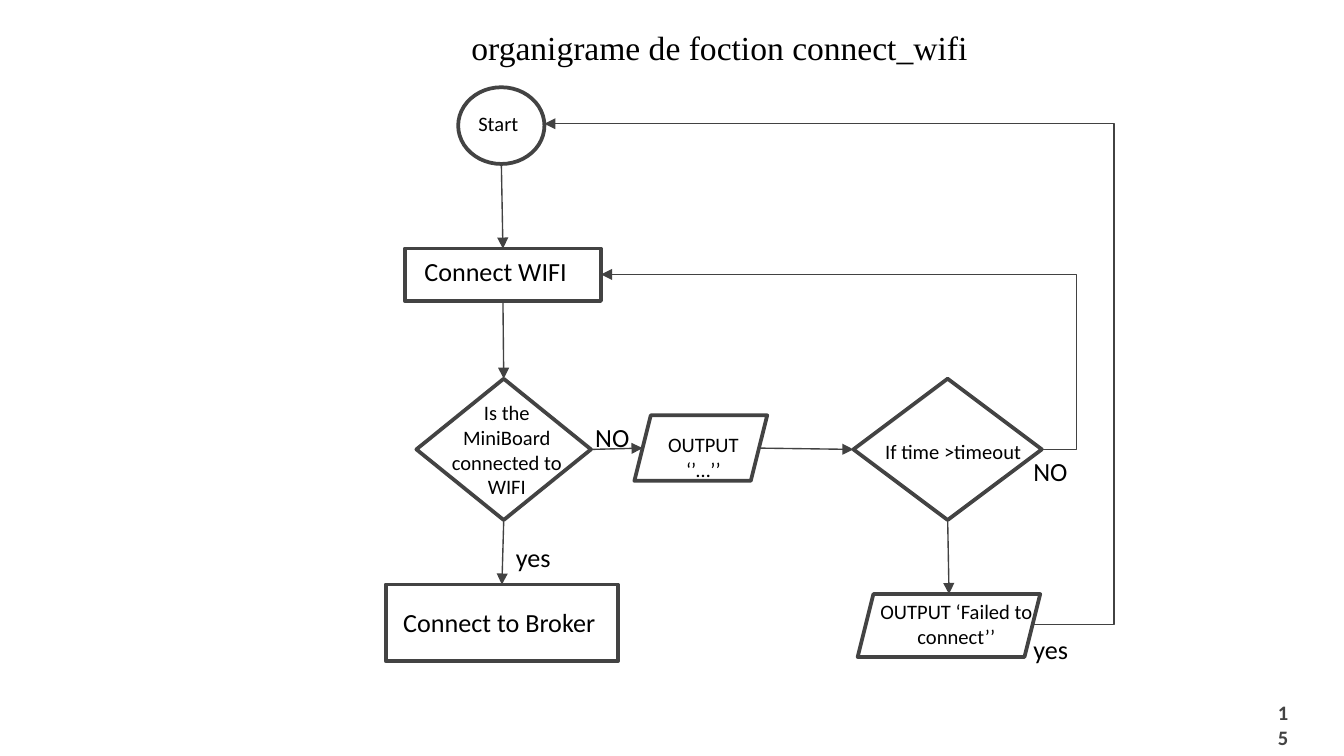
from dataclasses import dataclass

from lxml.etree import SubElement
from pptx import Presentation
from pptx.dml.color import RGBColor
from pptx.enum.shapes import MSO_CONNECTOR, MSO_SHAPE
from pptx.enum.text import PP_ALIGN
from pptx.oxml.ns import qn
from pptx.util import Cm, Pt


@dataclass(frozen=True)
class Theme:
    outline: RGBColor = RGBColor(0x43, 0x43, 0x43)
    arrow: RGBColor = RGBColor(0x42, 0x42, 0x42)
    ink: RGBColor = RGBColor(0, 0, 0)
    body_font: str = "Calibri"
    title_font: str = "Times New Roman"
    small: int = 11
    large: int = 14
    title: int = 18
    outline_width: float = 2
    arrow_width: float = 0.75


THEME = Theme()
GLUED = (MSO_SHAPE.RECTANGLE, MSO_SHAPE.DIAMOND)


def write(tf, text, font=THEME.body_font, size=THEME.small, color=THEME.ink,
          bold=False, align=PP_ALIGN.LEFT):
    tf.word_wrap = True
    p = tf.paragraphs[0]
    p.alignment = align
    r = p.add_run()
    r.text = text
    r.font.name = font
    r.font.size = Pt(size)
    r.font.bold = bold
    r.font.color.rgb = color


def side_middle(sp, site):
    """Middle of a side: 0 top, 1 left, 2 bottom, 3 right."""
    slant = 0
    if sp.auto_shape_type == MSO_SHAPE.PARALLELOGRAM:
        slant = int(sp.adjustments[0] * min(sp.width, sp.height) / 2)
    cx, cy = sp.left + sp.width // 2, sp.top + sp.height // 2
    return ((cx, sp.top), (sp.left + slant, cy),
            (cx, sp.top + sp.height), (sp.left + sp.width - slant, cy))[site]


class Flowchart:
    def __init__(self, s, theme):
        self.s = s
        self.theme = theme

    def node(self, kind, x, y, w, h):
        sp = self.s.shapes.add_shape(kind, Cm(x), Cm(y), Cm(w), Cm(h))
        sp.shadow.inherit = False
        sp.fill.background()
        sp.line.color.rgb = self.theme.outline
        sp.line.width = Pt(self.theme.outline_width)
        return sp

    def label(self, text, x, y, w, h, **fmt):
        box = self.s.shapes.add_textbox(Cm(x), Cm(y), Cm(w), Cm(h))
        write(box.text_frame, text, **fmt)

    def arrow(self, kind, start, end):
        c = self.s.shapes.add_connector(kind, *start, *end)
        c.line.color.rgb = self.theme.arrow
        c.line.width = Pt(self.theme.arrow_width)
        ln = c.line._get_or_add_ln()
        SubElement(ln, qn("a:tailEnd"), type="triangle")
        SubElement(c._element.spPr, qn("a:effectLst"))
        return c

    def link(self, source, source_site, target, target_site):
        c = self.arrow(MSO_CONNECTOR.STRAIGHT, side_middle(source, source_site),
                       side_middle(target, target_site))
        if source.auto_shape_type in GLUED:
            c.begin_connect(source, source_site)
        if target.auto_shape_type in GLUED:
            c.end_connect(target, target_site)

    def loop_back(self, start, end, lane):
        """Bent arrow that leaves to the right and turns at x = lane."""
        c = self.arrow(MSO_CONNECTOR.ELBOW, [Cm(v) for v in start],
                       [Cm(v) for v in end])
        bend = (start[0] - lane) / (start[0] - end[0])
        geom = c._element.spPr.find(qn("a:prstGeom"))
        av = geom.find(qn("a:avLst"))
        if av is None:
            av = SubElement(geom, qn("a:avLst"))
        SubElement(av, qn("a:gd"), name="adj1", fmla=f"val {round(bend * 100000)}")


def main():
    prs = Presentation()
    prs.slide_width, prs.slide_height = Cm(25.4), Cm(14.29)
    chart = Flowchart(prs.slides.add_slide(prs.slide_layouts[6]), THEME)
    large = {"size": THEME.large}
    centred = {"align": PP_ALIGN.CENTER}

    chart.label("organigrame de foction connect_wifi", 8.66, 0.38, 10.16, 1.02,
                font=THEME.title_font, size=THEME.title)
    chart.label("15", 23.9, 13.11, 0.69, 0.74, bold=True, color=THEME.outline)

    start = chart.node(MSO_SHAPE.OVAL, 8.66, 1.65, 1.63, 1.45)
    wifi = chart.node(MSO_SHAPE.RECTANGLE, 7.65, 4.7, 3.71, 0.99)
    connected = chart.node(MSO_SHAPE.DIAMOND, 7.87, 7.16, 3.3, 2.67)
    broker = chart.node(MSO_SHAPE.RECTANGLE, 7.29, 11.05, 4.39, 1.45)
    output = chart.node(MSO_SHAPE.PARALLELOGRAM, 11.99, 7.85, 2.51, 1.24)
    timeout = chart.node(MSO_SHAPE.DIAMOND, 16.13, 7.16, 3.56, 2.67)
    failed = chart.node(MSO_SHAPE.PARALLELOGRAM, 16.21, 11.23, 3.45, 1.19)

    for source, source_site, target, target_site in (
        (start, 2, wifi, 0),
        (wifi, 2, connected, 0),
        (connected, 2, broker, 0),
        (connected, 3, output, 1),
        (output, 3, timeout, 1),
        (timeout, 2, failed, 0),
    ):
        chart.link(source, source_site, target, target_site)
    chart.loop_back((19.7, 8.5), (11.36, 5.19), lane=20.35)
    chart.loop_back((19.51, 11.81), (10.29, 2.34), lane=21.06)

    for text, x, y, w, h, fmt in (
        ("Start", 8.79, 1.98, 1.5, 0.69, {}),
        ("Connect WIFI", 7.77, 4.7, 4.22, 0.79, large),
        ("Is the MiniBoard connected to WIFI", 8.13, 7.44, 2.9, 1.98, centred),
        ("Connect to Broker", 7.37, 11.33, 5.18, 0.79, large),
        ("OUTPUT ‘’…’’", 12.04, 8.05, 2.51, 1.12, centred),
        ("If time >timeout", 16.15, 8.18, 3.73, 0.69, centred),
        ("OUTPUT ‘Failed to connect’’", 16.21, 11.2, 3.73, 1.12, centred),
        ("yes", 9.5, 10.11, 1.24, 0.79, large),
        ("NO", 11, 7.85, 1.24, 0.79, large),
        ("NO", 19.28, 8.48, 1.24, 0.79, large),
        ("yes", 19.28, 11.84, 1.24, 0.79, large),
    ):
        chart.label(text, x, y, w, h, **fmt)

    prs.save("out.pptx")


if __name__ == "__main__":
    main()
